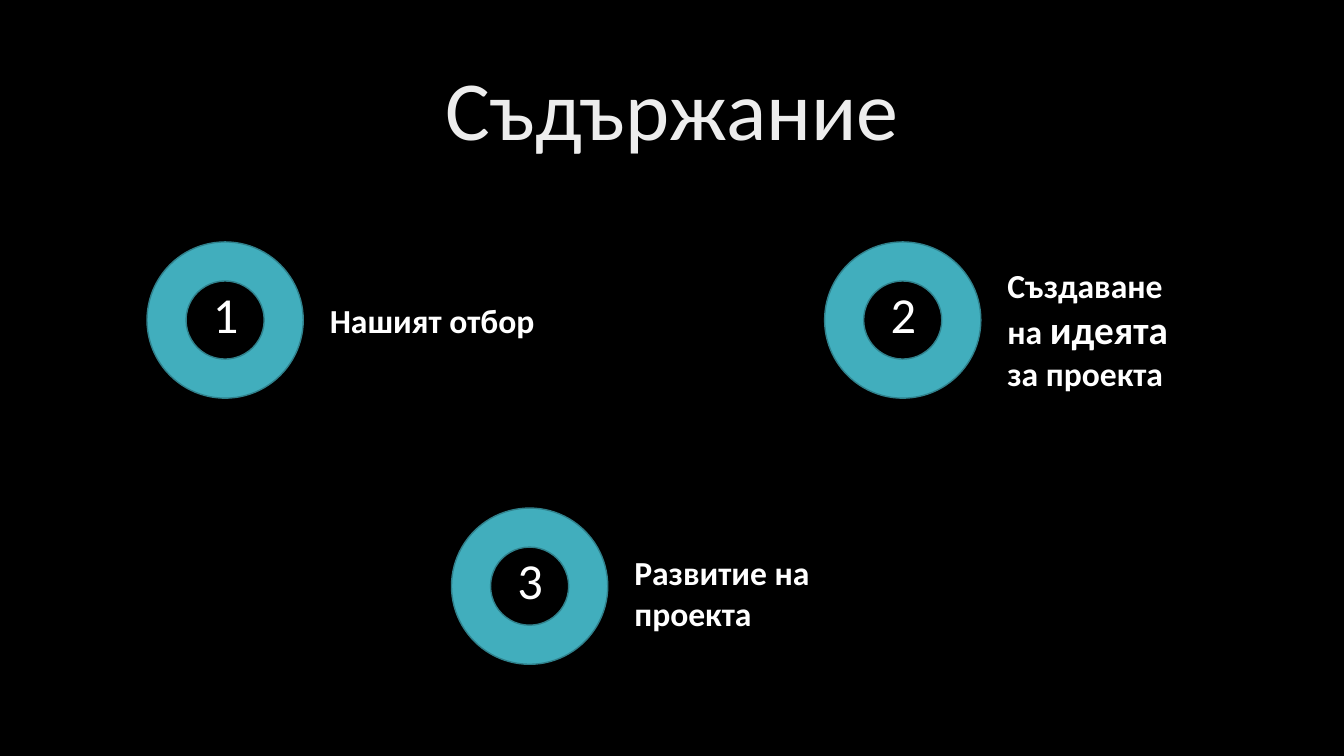
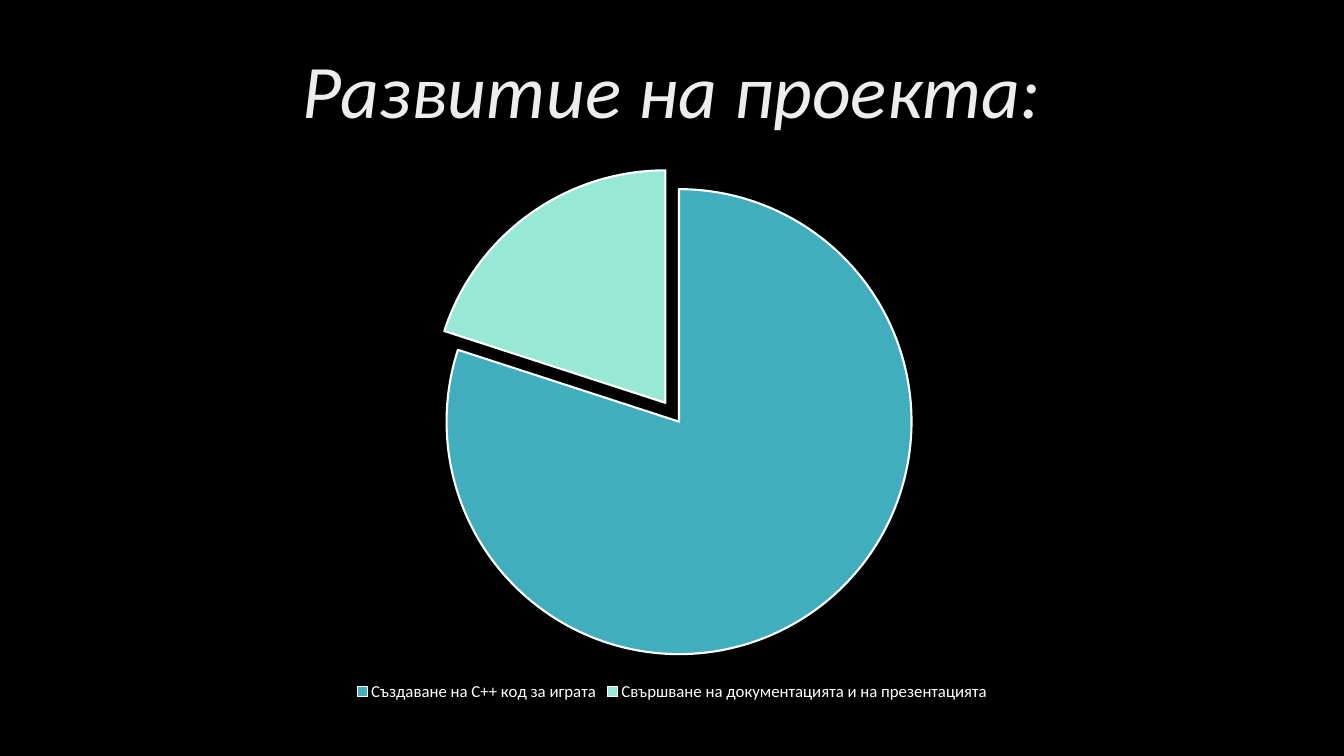
from lxml import etree
from pptx import Presentation
from pptx.chart import data as chart_data
from pptx.dml.color import RGBColor
from pptx.enum import chart as charts, shapes, text
from pptx.oxml.ns import qn
from pptx.util import Pt

# Content: left, top, label width, label offset from the ring top, label runs
AGENDA_TITLE = "Съдържание"
AGENDA = [
    (105, 172.8, 178.6, 38, [("Нашият отбор", "label")]),
    (589, 172.8, 152, 13, [("Създаване на ", "label"), ("идеята", "accent_label"),
                           (" за проекта", "label")]),
    (322.5, 362.9, 142.6, 28, [("Развитие на проекта", "label")]),
]
PROGRESS_TITLE = "Развитие на проекта:"
PROGRESS = [
    ("Създаване на C++ код за играта", 80, "teal"),
    ("Свършване на документацията и на презентацията", 20, "mint"),
]

THEME = {
    "font": "Calibri",
    "colors": {"black": "000000", "white": "FFFFFF", "title": "EDEDED",
               "teal": "41AEBD", "teal_dark": "30818C", "mint": "97E9D5"},
    "text": {
        "agenda_title": {"size": 60, "color": "title"},
        "progress_title": {"size": 54, "color": "title", "italic": True},
        "label": {"size": 24, "color": "white", "bold": True},
        "accent_label": {"size": 28, "color": "white", "bold": True},
        "number": {"size": 36, "color": "white"},
        "legend": {"size": 12, "color": "white"},
    },
}
RING_SIZE = 111.6
LABEL_OFFSET = 123.5
NUMBER_OFFSET = (40, 26)
NUMBER_SIZE = (38, 51)


def color(name):
    return RGBColor.from_string(THEME["colors"][name])


def points(*lengths):
    return [Pt(length) for length in lengths]


def style_font(font, style):
    values = dict(THEME["text"][style])
    font.color.rgb = color(values.pop("color"))
    values.update(size=Pt(values["size"]), name=THEME["font"])
    for attribute, value in values.items():
        setattr(font, attribute, value)


def paint(part, fill, line, width):
    part.fill.solid()
    part.fill.fore_color.rgb = color(fill)
    part.line.color.rgb = color(line)
    part.line.width = Pt(width)


def add_runs(paragraph, runs):
    for content, style in runs:
        run = paragraph.add_run()
        run.text = content
        style_font(run.font, style)


def add_titled_slide(presentation, title, style, top):
    slide = presentation.slides.add_slide(presentation.slide_layouts[5])
    shape = slide.shapes.title
    shape.left, shape.top, shape.width, shape.height = points(66, top, 828, 104.4)
    frame = shape.text_frame
    frame.word_wrap = True
    frame.vertical_anchor = text.MSO_ANCHOR.MIDDLE
    paragraph = frame.paragraphs[0]
    paragraph.alignment = text.PP_ALIGN.CENTER
    paragraph.line_spacing = 0.9
    add_runs(paragraph, [(title, style)])
    return slide


def add_text(slide, left, top, width, height, runs):
    frame = slide.shapes.add_textbox(*points(left, top, width, height)).text_frame
    frame.word_wrap = True
    add_runs(frame.paragraphs[0], runs)


def build_agenda(presentation):
    slide = add_titled_slide(presentation, AGENDA_TITLE, "agenda_title", 28.8)
    for number, (left, top, width, offset, runs) in enumerate(AGENDA, 1):
        # Ring, its number and the label beside it
        ring = slide.shapes.add_shape(shapes.MSO_SHAPE.DONUT,
                                      *points(left, top, RING_SIZE, RING_SIZE))
        ring.shadow.inherit = False
        paint(ring, "teal", "teal_dark", 1)
        add_text(slide, left + NUMBER_OFFSET[0], top + NUMBER_OFFSET[1],
                 *NUMBER_SIZE, [(str(number), "number")])
        add_text(slide, left + LABEL_OFFSET, top + offset, width,
                 RING_SIZE - 2 * offset, runs)


def build_progress(presentation):
    slide = add_titled_slide(presentation, PROGRESS_TITLE, "progress_title", 15.1)
    categories, values, fills = zip(*PROGRESS)
    data = chart_data.CategoryChartData()
    data.categories = categories
    data.add_series("Series 1", values)
    chart = slide.shapes.add_chart(charts.XL_CHART_TYPE.PIE,
                                   *points(174.2, 110.2, 612, 393.8), data).chart
    chart.has_title = False
    style_font(chart.font, "legend")

    # Legend under the pie
    chart.has_legend = True
    chart.legend.position = charts.XL_LEGEND_POSITION.BOTTOM
    chart.legend.include_in_layout = False
    style_font(chart.legend.font, "legend")

    # Slices, pulled apart
    plot = chart.plots[0]
    plot.vary_by_categories = True
    series = plot.series[0]
    for index, fill in enumerate(fills):
        paint(series.points[index].format, fill, "white", 1.5)
    explosion = etree.Element(qn("c:explosion"), val="5")
    series._element.find(qn("c:dPt")).addprevious(explosion)


def main():
    presentation = Presentation()
    presentation.slide_width, presentation.slide_height = points(960, 540)
    background = presentation.slide_master.background.fill
    background.solid()
    background.fore_color.rgb = color("black")
    build_agenda(presentation)
    build_progress(presentation)
    presentation.save("out.pptx")


if __name__ == "__main__":
    main()
